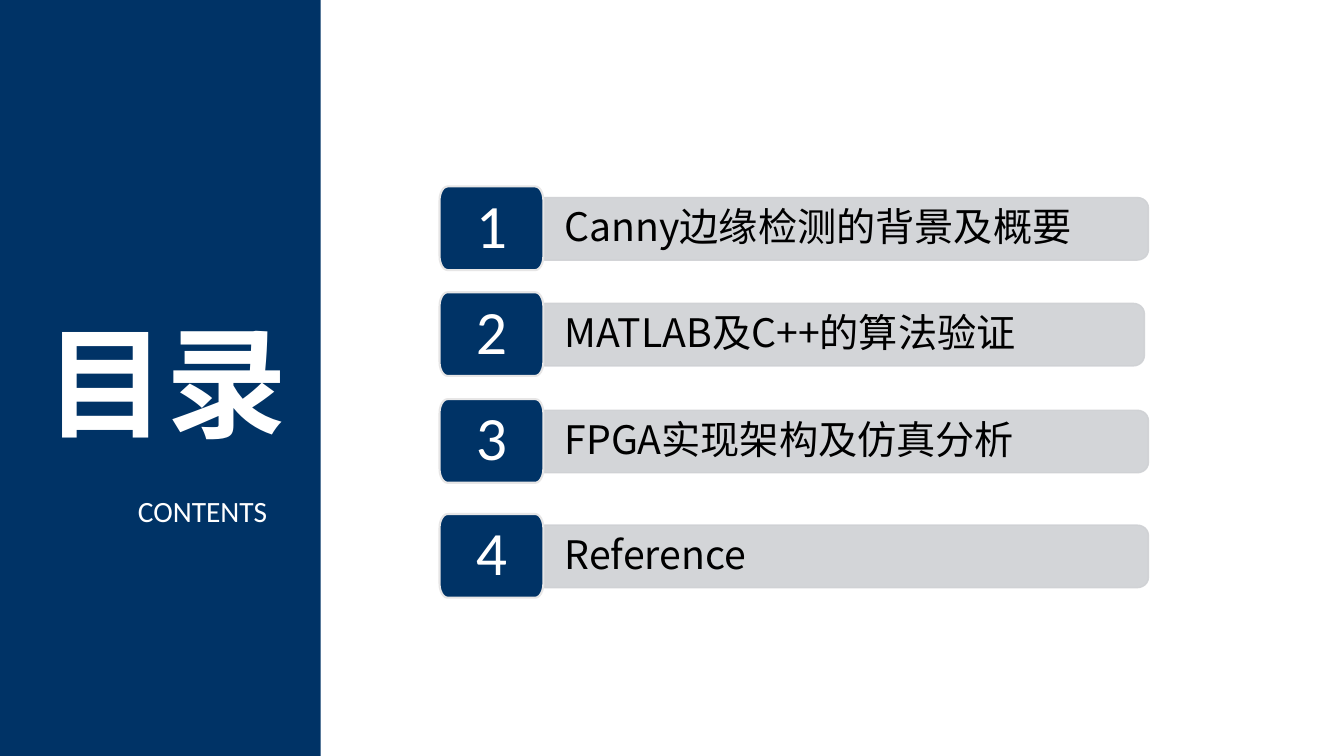
import math

import pptx
import pptx.dml.color
import pptx.enum.shapes
import pptx.enum.text
import pptx.util
from lxml import etree

PX = 9144  # 100 px to the inch
NS = "{http://schemas.openxmlformats.org/drawingml/2006/main}"
INK = {"navy": "003366", "gray": "CFD1D4", "edge": "E7E6E6",
       "white": "FFFFFF", "black": "000000"}
SANS, CJK = "Calibri", "Noto Sans CJK SC"
ALIGN = pptx.enum.text.PP_ALIGN
MID = pptx.enum.text.MSO_ANCHOR.MIDDLE


class Deck:
    def __init__(self, width, height):
        self.prs = pptx.Presentation()
        self.prs.slide_width = width * PX
        self.prs.slide_height = height * PX
        self.slide = self.prs.slides.add_slide(self.prs.slide_layouts[6])

    def color(self, part, name):
        part.rgb = pptx.dml.color.RGBColor.from_string(INK[name])

    def paint(self, shape, fill, edge=None, width=1, alpha=100):
        shape.shadow.inherit = False
        shape.fill.solid()
        self.color(shape.fill.fore_color, fill)
        if edge:
            self.color(shape.line.color, edge)
            shape.line.width = pptx.util.Pt(width)
        else:
            shape.line.fill.background()
        if alpha < 100:
            for node in shape.element.spPr.iter(NS + "srgbClr"):
                etree.SubElement(node, NS + "alpha", val=str(alpha * 1000))

    def letter(self, shape, text, size, ink, font=SANS, bold=False,
               align=ALIGN.LEFT, space=0.9, pad=None, **frame):
        box = shape.text_frame
        if pad:
            sides = ("left", "top", "right", "bottom")
            frame.update({"margin_" + s: v * PX for s, v in zip(sides, pad)})
        for key, val in frame.items():
            setattr(box, key, val)
        para = box.paragraphs[0]
        para.alignment, para.line_spacing = align, space
        run = para.add_run()
        run.text = text
        look = {"size": pptx.util.Pt(size), "bold": bold, "name": font}
        for key, val in look.items():
            setattr(run.font, key, val)
        self.color(run.font.color, ink)
        # East Asian typeface
        latin = run.font._element.find(NS + "latin")
        latin.addnext(etree.Element(NS + "ea", typeface=CJK))

    def panel(self, x, y, w, h, fill):
        kind = pptx.enum.shapes.MSO_SHAPE.RECTANGLE
        shape = self.slide.shapes.add_shape(kind, x * PX, y * PX, w * PX, h * PX)
        self.paint(shape, fill)

    def label(self, x, y, w, h, text, size, **style):
        shape = self.slide.shapes.add_textbox(x * PX, y * PX, w * PX, h * PX)
        self.letter(shape, text, size, "white", **style)

    def plate(self, x, y, w, h, left, right):
        """Outline with one (rx, ry) corner radius for each side."""
        corners = ((1, 0, right), (1, 1, right), (0, 1, left), (0, 0, left))
        dots = []
        for i, (far, low, (rx, ry)) in enumerate(corners):
            cx = x + w - rx if far else x + rx
            cy = y + h - ry if low else y + ry
            for step in range(7 if rx else 1):
                turn = math.radians(90 * (i - 1) + 15 * step)
                dots.append((round((cx + rx * math.cos(turn)) * PX),
                             round((cy + ry * math.sin(turn)) * PX)))
        pen = self.slide.shapes.build_freeform(*dots[0])
        pen.add_line_segments(dots[1:], close=True)
        return pen.convert_to_shape()

    def entry(self, num, y, width, text):
        bar = self.plate(540, y, width, 62, (0, 0), (11, 10))
        self.paint(bar, "gray", "gray", 1, 90)
        self.letter(bar, text, 28, "black", CJK, pad=(20, 13, 23, 13),
                    vertical_anchor=MID, word_wrap=True)
        badge = self.plate(436, y - 11, 103, 83, (8, 14), (8, 14))
        self.paint(badge, "navy", "edge", 1.5)
        self.letter(badge, str(num), 44, "white", align=ALIGN.CENTER,
                    pad=(15, 9, 15, 9), vertical_anchor=MID, word_wrap=True)


def main():
    deck = Deck(1333, 750)

    # Side panel with the heading
    deck.panel(-1, 0, 319, 750, "navy")
    deck.label(35, 345, 268, 83, "目录", 86.3, bold=True,
               vertical_anchor=MID, word_wrap=True)
    deck.label(127, 484, 150, 45, "CONTENTS", 21, space=1.0, word_wrap=False)

    # Numbered entries
    items = ((196, 599, "Canny边缘检测的背景及概要"),
             (301, 595, "MATLAB及C++的算法验证"),
             (407, 599, "FPGA实现架构及仿真分析"),
             (521, 599, "Reference"))
    for num, item in enumerate(items, 1):
        deck.entry(num, *item)

    deck.prs.save("out.pptx")


if __name__ == "__main__":
    main()
